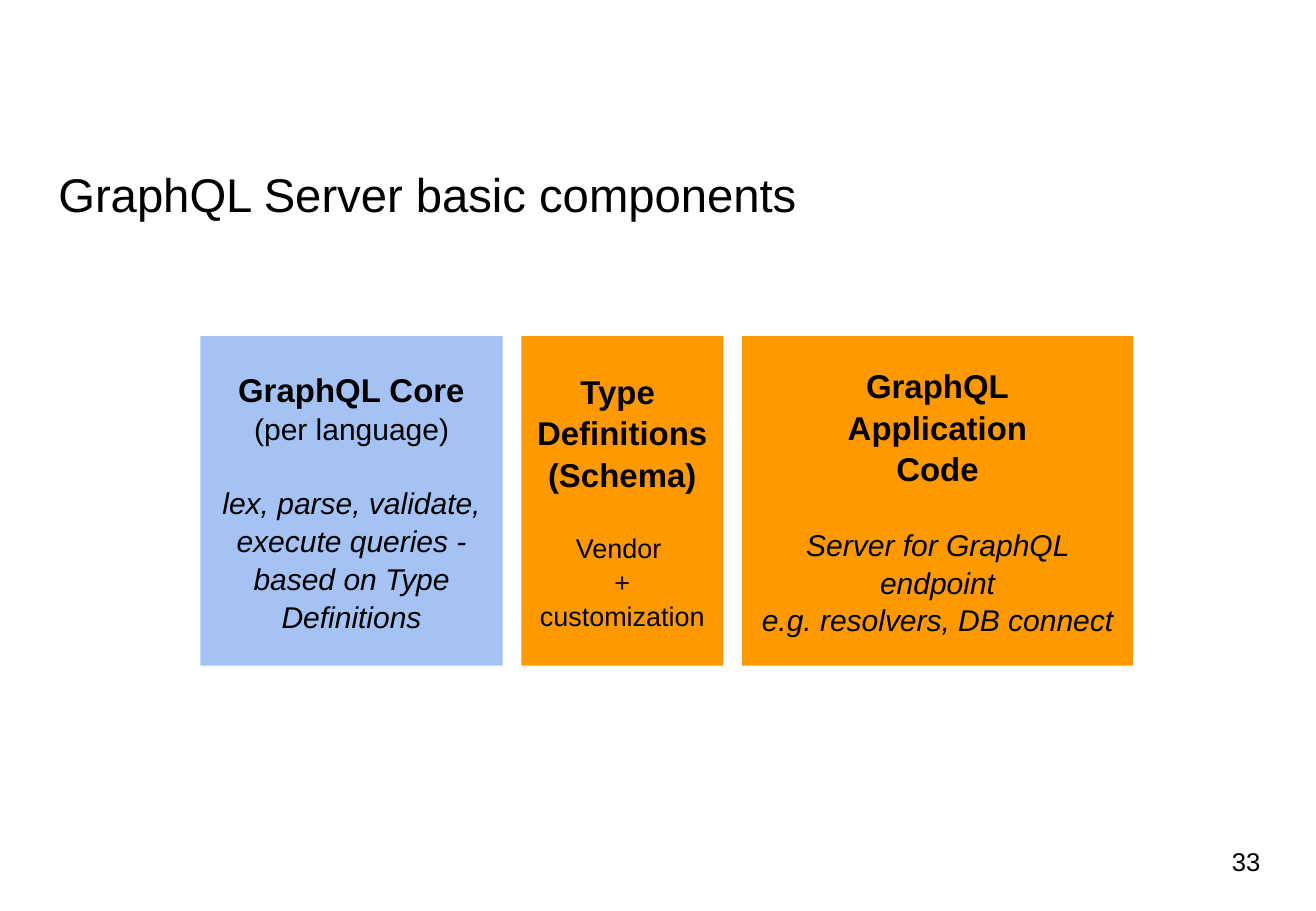
import pptx
import pptx.dml.color
import pptx.enum.shapes
import pptx.enum.text
import pptx.util

Cm, Pt = pptx.util.Cm, pptx.util.Pt
Anchor = pptx.enum.text.MSO_ANCHOR
Align = pptx.enum.text.PP_ALIGN

TITLE = "GraphQL Server basic components"
PAGE_NUMBER = "33"

# Text styles: size in points, bold, italic
HEADING = (19.5, True, False)
NOTE = (17.8, False, False)
DETAIL = (17.8, False, True)
SMALL = (16, False, False)

# Width in cm, fill, and groups of (text, style) lines; a gap separates groups
COMPONENTS = [
    (6.32, "A4C2F4", [
        [("GraphQL Core", HEADING), ("(per language)", NOTE)],
        [("lex, parse, validate, execute queries -", DETAIL),
         ("based on Type Definitions", DETAIL)],
    ]),
    (4.22, "FF9900", [
        [("Type ", HEADING), ("Definitions", HEADING), ("(Schema)", HEADING)],
        [("Vendor ", SMALL), ("+ customization", SMALL)],
    ]),
    (8.18, "FF9900", [
        [("GraphQL", HEADING), ("Application", HEADING), ("Code", HEADING)],
        [("Server for GraphQL endpoint", DETAIL),
         ("e.g. resolvers, DB connect", DETAIL)],
    ]),
]
ROW_LEFT, ROW_TOP, ROW_HEIGHT, ROW_GAP = 4.19, 7.03, 6.89, 0.39
GROUP_GAP = Pt(21.5)
LINE_SPACING = 1.05


def color(value):
    return pptx.dml.color.RGBColor.from_string(value)


def set_frame(frame, inset, anchor):
    frame.word_wrap = True
    frame.auto_size = pptx.enum.text.MSO_AUTO_SIZE.NONE
    frame.vertical_anchor = anchor
    frame.margin_left = frame.margin_right = Cm(inset)
    frame.margin_top = frame.margin_bottom = Cm(inset)


def write(paragraph, text, style, alignment):
    size, bold, italic = style
    paragraph.alignment = alignment
    paragraph.line_spacing = LINE_SPACING
    paragraph.space_before = paragraph.space_after = Pt(0)
    run = paragraph.add_run()
    run.text = text
    run.font.name = "Arial"
    run.font.size = Pt(size)
    run.font.bold = bold
    run.font.italic = italic
    run.font.color.rgb = color("000000")


def add_component(slide, left, width, fill, groups):
    shape = slide.shapes.add_shape(
        pptx.enum.shapes.MSO_SHAPE.RECTANGLE,
        Cm(left), Cm(ROW_TOP), Cm(width), Cm(ROW_HEIGHT))
    shape.shadow.inherit = False
    shape.fill.solid()
    shape.fill.fore_color.rgb = color(fill)
    shape.line.fill.background()
    frame = shape.text_frame
    set_frame(frame, 0.28, Anchor.MIDDLE)
    paragraph = frame.paragraphs[0]
    for group_index, group in enumerate(groups):
        for line_index, (text, style) in enumerate(group):
            if group_index or line_index:
                paragraph = frame.add_paragraph()
            write(paragraph, text, style, Align.CENTER)
            if group_index and line_index == 0:
                paragraph.space_before = GROUP_GAP


def main():
    presentation = pptx.Presentation()
    presentation.slide_width, presentation.slide_height = Cm(27.51), Cm(19.05)
    slide = presentation.slides.add_slide(presentation.slide_layouts[5])

    title = slide.shapes.title
    title.left, title.top, title.width, title.height = (
        Cm(0.94), Cm(3.12), Cm(25.63), Cm(1.73))
    set_frame(title.text_frame, 0.28, Anchor.TOP)
    write(title.text_frame.paragraphs[0], TITLE, (28, False, False), Align.LEFT)

    left = ROW_LEFT
    for width, fill, groups in COMPONENTS:
        add_component(slide, left, width, fill, groups)
        left += width + ROW_GAP

    number = slide.shapes.add_textbox(Cm(25.5), Cm(17.27), Cm(1.65), Cm(1.45))
    set_frame(number.text_frame, 0.25, Anchor.MIDDLE)
    write(number.text_frame.paragraphs[0], PAGE_NUMBER,
          (15.2, False, False), Align.LEFT)

    presentation.save("out.pptx")


if __name__ == "__main__":
    main()
